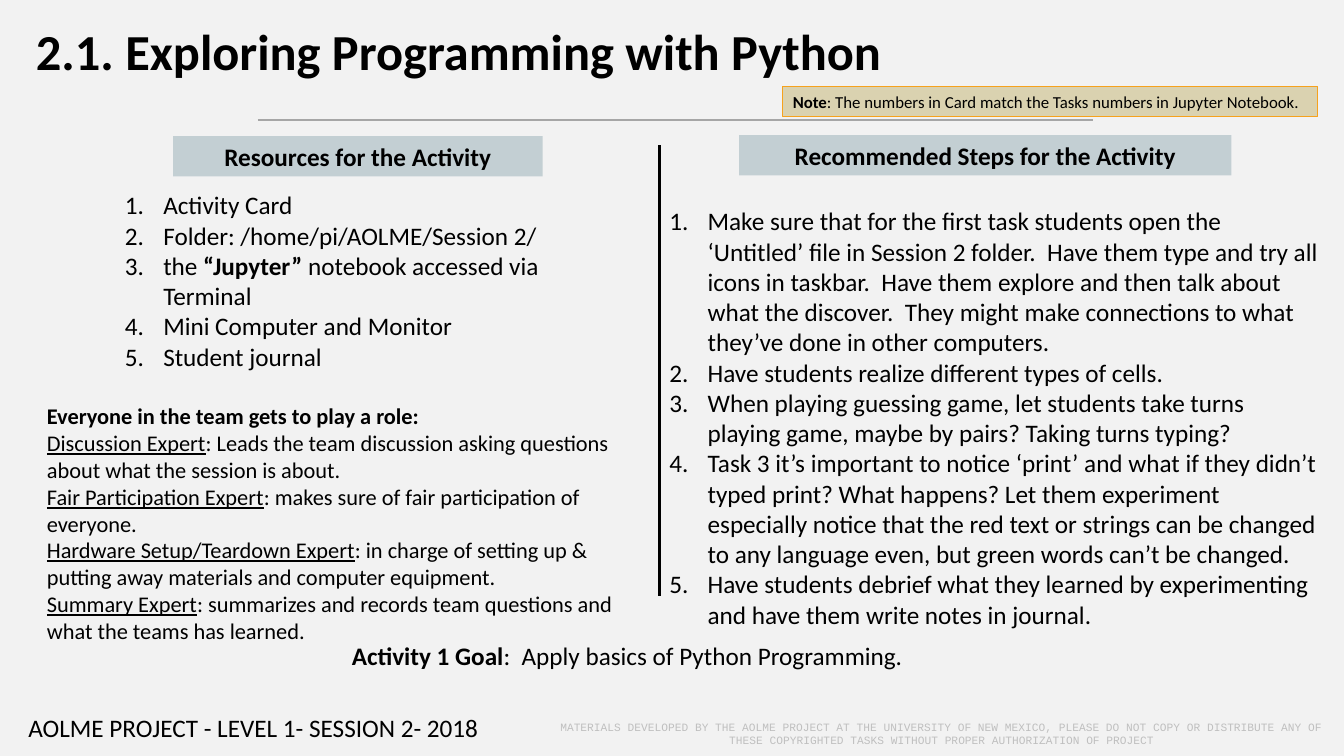
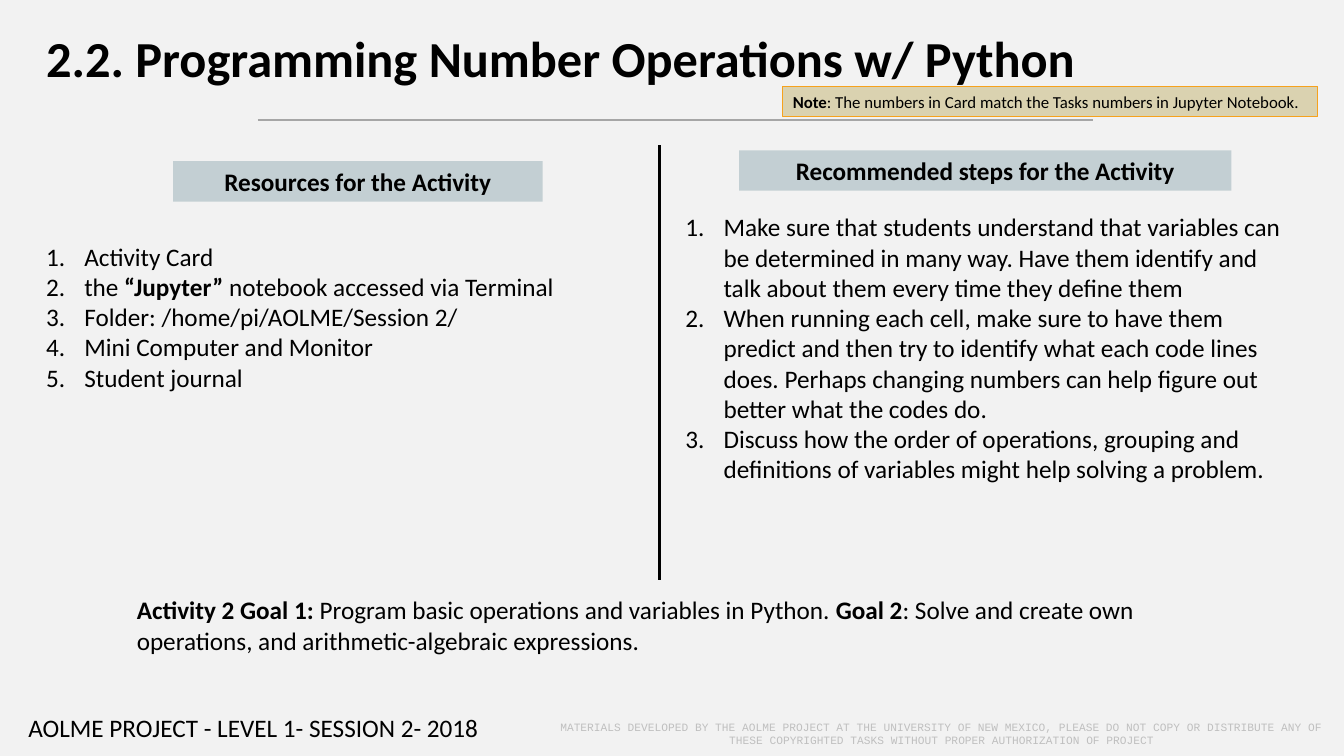
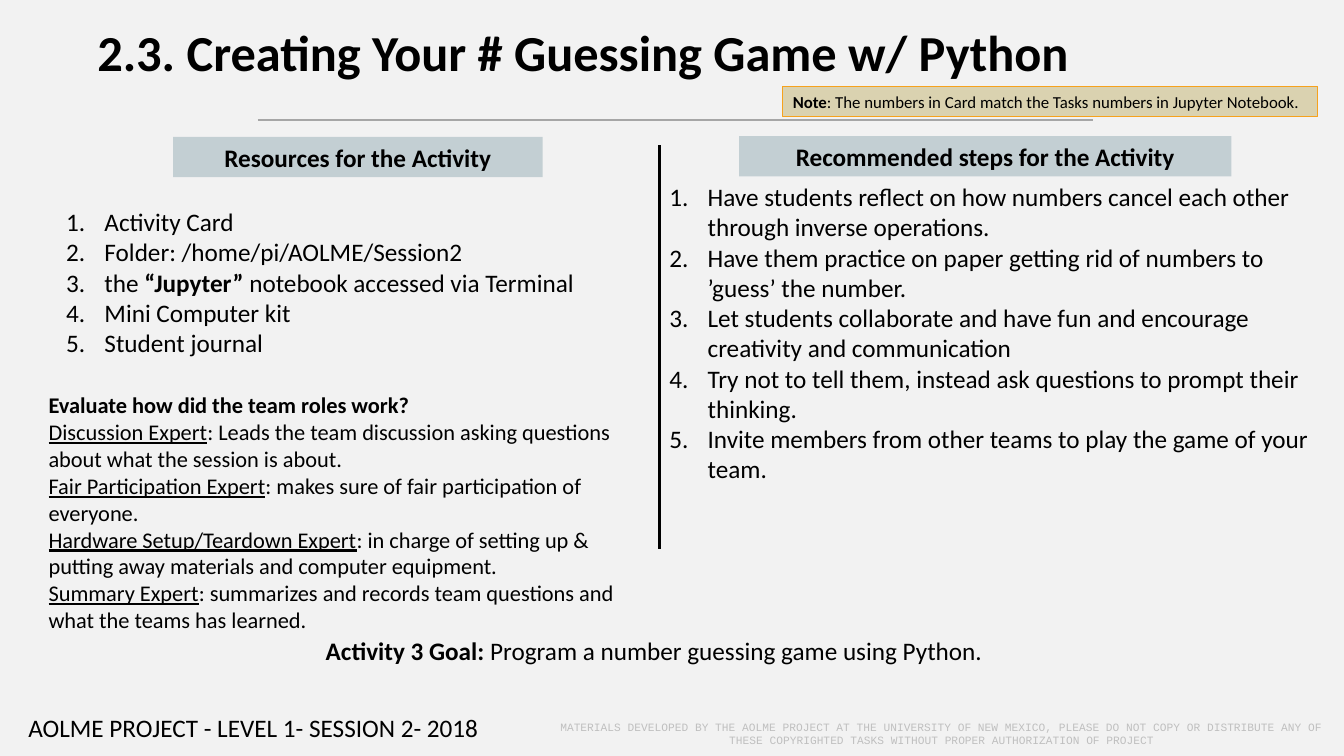
from dataclasses import dataclass

from lxml import etree
from pptx import Presentation
from pptx.dml.color import RGBColor
from pptx.enum.shapes import MSO_CONNECTOR, MSO_SHAPE
from pptx.enum.text import MSO_ANCHOR, PP_ALIGN
from pptx.oxml.ns import qn
from pptx.util import Inches, Pt

RECTANGLE = MSO_SHAPE.RECTANGLE
STRAIGHT = MSO_CONNECTOR.STRAIGHT
LEFT, CENTER = PP_ALIGN.LEFT, PP_ALIGN.CENTER
TOP, MIDDLE = MSO_ANCHOR.TOP, MSO_ANCHOR.MIDDLE
BOLD, UNDERLINE, PLAIN = "bold", "underline", "plain"


@dataclass(frozen=True)
class Theme:
    background: str = "F2F2F2"
    ink: str = "000000"
    faint: str = "BFBFBF"
    rule: str = "A6A6A6"
    band: str = "C3CFD3"
    note: str = "DAD2B0"
    accent: str = "F6A21D"
    font: str = "Calibri"
    mono: str = "Courier New"
    title_size: int = 36
    body_size: int = 18
    role_size: int = 16
    note_size: int = 12
    legal_size: int = 8


theme = Theme()
deck = Presentation()
deck.slide_width, deck.slide_height = Inches(13.33), Inches(7.5)
master_fill = deck.slide_master.background.fill
master_fill.solid()
master_fill.fore_color.rgb = RGBColor.from_string(theme.background)

# The page is a grid of 160 columns and 90 rows.
COLUMN = deck.slide_width / 160
ROW = deck.slide_height / 90
NUMBER_INDENT = Inches(0.38)


def add_text(page, area, paragraphs, size=theme.body_size, color=theme.ink,
             font=theme.font, align=LEFT, anchor=TOP, fill=None, line=None,
             numbered=False):
    """Write paragraphs, each a string or a list of (text, style), in a grid area."""
    left, top, width, height = area
    bounds = [int(n) for n in (left * COLUMN, top * ROW, width * COLUMN, height * ROW)]
    if fill:
        box = page.shapes.add_shape(RECTANGLE, *bounds)
        box.shadow.inherit = False
        box.fill.solid()
        box.fill.fore_color.rgb = RGBColor.from_string(fill)
        if line:
            box.line.color.rgb = RGBColor.from_string(line)
            box.line.width = Pt(0.75)
        else:
            box.line.fill.background()
    else:
        box = page.shapes.add_textbox(*bounds)
    frame = box.text_frame
    frame.word_wrap = True
    frame.vertical_anchor = anchor
    for index, spans in enumerate(paragraphs):
        paragraph = frame.paragraphs[0] if index == 0 else frame.add_paragraph()
        paragraph.alignment = align
        if numbered:
            properties = paragraph._p.get_or_add_pPr()
            properties.set("marL", str(NUMBER_INDENT))
            properties.set("indent", str(-NUMBER_INDENT))
            etree.SubElement(properties, qn("a:buFont"), typeface="+mj-lt")
            etree.SubElement(properties, qn("a:buAutoNum"), type="arabicPeriod")
        if isinstance(spans, str):
            spans = [(spans, PLAIN)]
        for text, style in spans:
            span = paragraph.add_run()
            span.text = text
            span.font.name = font
            span.font.size = Pt(size)
            span.font.color.rgb = RGBColor.from_string(color)
            span.font.bold = style == BOLD
            span.font.underline = style == UNDERLINE


def add_line(page, start, end, color, width):
    line = page.shapes.add_connector(
        STRAIGHT, int(start[0] * COLUMN), int(start[1] * ROW),
        int(end[0] * COLUMN), int(end[1] * ROW))
    line.line.color.rgb = RGBColor.from_string(color)
    line.line.width = Pt(width)
    etree.SubElement(line._element.spPr, qn("a:effectLst"))


notebook = [("the ", PLAIN), ("“Jupyter” ", BOLD), ("notebook accessed via Terminal", PLAIN)]
session_folder = "Folder: /home/pi/AOLME/Session 2/"
roles = [
    [("Discussion Expert", UNDERLINE),
     (": Leads the team discussion asking questions about what the session is about.", PLAIN)],
    [("Fair Participation Expert", UNDERLINE),
     (": makes sure of fair participation of everyone.", PLAIN)],
    [("Hardware Setup/Teardown Expert", UNDERLINE),
     (": in charge of setting up & putting away materials and computer equipment.", PLAIN)],
    [("Summary Expert", UNDERLINE),
     (": summarizes and records team questions and what the teams has learned.", PLAIN)],
]
note = [("Note", BOLD),
        (": The numbers in Card match the Tasks numbers in Jupyter Notebook.", PLAIN)]
legal = ("MATERIALS DEVELOPED BY THE AOLME PROJECT AT THE UNIVERSITY OF NEW MEXICO, "
         "PLEASE DO NOT COPY OR DISTRIBUTE ANY OF THESE COPYRIGHTED TASKS WITHOUT "
         "PROPER AUTHORIZATION OF PROJECT")

activities = [
    {
        "title": "2.1. Exploring Programming with Python",
        "title_area": (3.1, 1.8, 155.4, 8.5),
        "divider_end": 71,
        "resources_top": 16.2,
        "resources_area": (13.7, 22, 58, 26.6),
        "resources": ["Activity Card", session_folder, notebook,
                      "Mini Computer and Monitor", "Student journal"],
        "steps_title": "Recommended Steps for the Activity",
        "steps_top": 16.1,
        "steps_area": (78.5, 23.9, 80, 52.1),
        "steps": [
            "Make sure that for the first task students open the ‘Untitled’ file in "
            "Session 2 folder.  Have them type and try all icons in taskbar.  Have them "
            "explore and then talk about what the discover.  They might make connections "
            "to what they’ve done in other computers.",
            "Have students realize different types of cells.",
            "When playing guessing game, let students take turns playing game, maybe by "
            "pairs? Taking turns typing?",
            "Task 3 it’s important to notice ‘print’ and what if they didn’t typed print? "
            "What happens? Let them experiment especially notice that the red text or "
            "strings can be changed to any language even, but green words can’t be changed.",
            "Have students debrief what they learned by experimenting and have them write "
            "notes in journal.",
        ],
        "goal_area": (40.7, 75.6, 72, 4.8),
        "goal": [("Activity 1 Goal", BOLD),
                 (":  Apply basics of Python Programming.", PLAIN)],
        "roles_title": "Everyone in the team gets to play a role:",
        "roles_area": (4.4, 47.3, 71.9, 30.2),
    },
    {
        "title": "2.2. Programming Number Operations w/ Python",
        "title_area": (4.3, 2.6, 150.4, 8.5),
        "divider_end": 69,
        "resources_top": 19.2,
        "resources_area": (4.3, 28.1, 74.2, 19.4),
        "resources": ["Activity Card", notebook, session_folder,
                      "Mini Computer and Monitor", "Student journal"],
        "steps_title": "Recommended steps for the Activity",
        "steps_top": 17.9,
        "steps_area": (80.4, 24.6, 74.8, 34),
        "steps": [
            "Make sure that students understand that variables can be determined in many "
            "way. Have them identify and talk about them every time they define them",
            "When running each cell, make sure to have them predict and then try to "
            "identify what each code lines does. Perhaps changing numbers can help figure "
            "out better what the codes do.",
            "Discuss how the order of operations, grouping and definitions of variables "
            "might help solving a problem.",
        ],
        "goal_area": (15.1, 70.2, 130.6, 8.5),
        "goal": [("Activity 2 Goal 1: ", BOLD),
                 ("Program basic operations and variables in Python. ", PLAIN),
                 ("Goal 2", BOLD),
                 (": Solve and create own operations, and arithmetic-algebraic "
                  "expressions.", PLAIN)],
    },
    {
        "title": "2.3. Creating Your # Guessing Game w/ Python",
        "title_area": (10.4, 1.9, 144.1, 8.5),
        "divider_end": 65.4,
        "resources_top": 16.3,
        "resources_area": (6.7, 24, 67.7, 23),
        "resources": ["Activity Card", "Folder: /home/pi/AOLME/Session2", notebook,
                      "Mini Computer kit", "Student journal"],
        "steps_title": "Recommended steps for the Activity",
        "steps_top": 16.2,
        "steps_area": (78.5, 21, 81.2, 37.6),
        "steps": [
            "Have students reflect on how numbers cancel each other through inverse "
            "operations.",
            "Have them practice on paper getting rid of numbers to ’guess’ the number.",
            "Let students collaborate and have fun and encourage creativity and "
            "communication",
            "Try not to tell them, instead ask questions to prompt their thinking.",
            "Invite members from other teams to play the game of your team.",
        ],
        "goal_area": (37.6, 75.1, 100.9, 4.8),
        "goal": [("Activity 3 Goal: ", BOLD),
                 ("Program a number guessing game using Python.", PLAIN)],
        "roles_title": "Evaluate how did the team roles work?",
        "roles_area": (4.6, 46, 71.9, 30.2),
    },
]

blank = deck.slide_layouts[6]
for activity in activities:
    page = deck.slides.add_slide(blank)
    add_line(page, (78.5, 17.3), (78.5, activity["divider_end"]), theme.ink, 2.25)
    add_line(page, (30.7, 14.3), (130.1, 14.3), theme.rule, 1)
    add_text(page, activity["title_area"], [[(activity["title"], BOLD)]], theme.title_size)

    headings = [
        ("Resources for the Activity", (20.6, activity["resources_top"], 44, 4.8)),
        (activity["steps_title"], (88, activity["steps_top"], 58.6, 4.8)),
    ]
    for heading, area in headings:
        add_text(page, area, [[(heading, BOLD)]], align=CENTER, fill=theme.band)
    for name in ("resources", "steps"):
        add_text(page, activity[name + "_area"], activity[name], numbered=True)

    if "roles_title" in activity:
        add_text(page, activity["roles_area"],
                 [[(activity["roles_title"], BOLD)], *roles], theme.role_size)
    add_text(page, activity["goal_area"], [activity["goal"]])
    add_text(page, (93.2, 10.3, 63.7, 3.6), [note], theme.note_size,
             fill=theme.note, line=theme.accent)
    add_text(page, (2.2, 84.2, 60, 4.8), ["AOLME PROJECT - LEVEL 1- SESSION 2- 2018"])
    add_text(page, (64.7, 85.1, 94.9, 4.4), [legal], theme.legal_size, theme.faint,
             theme.mono, CENTER, MIDDLE)

deck.save("out.pptx")
